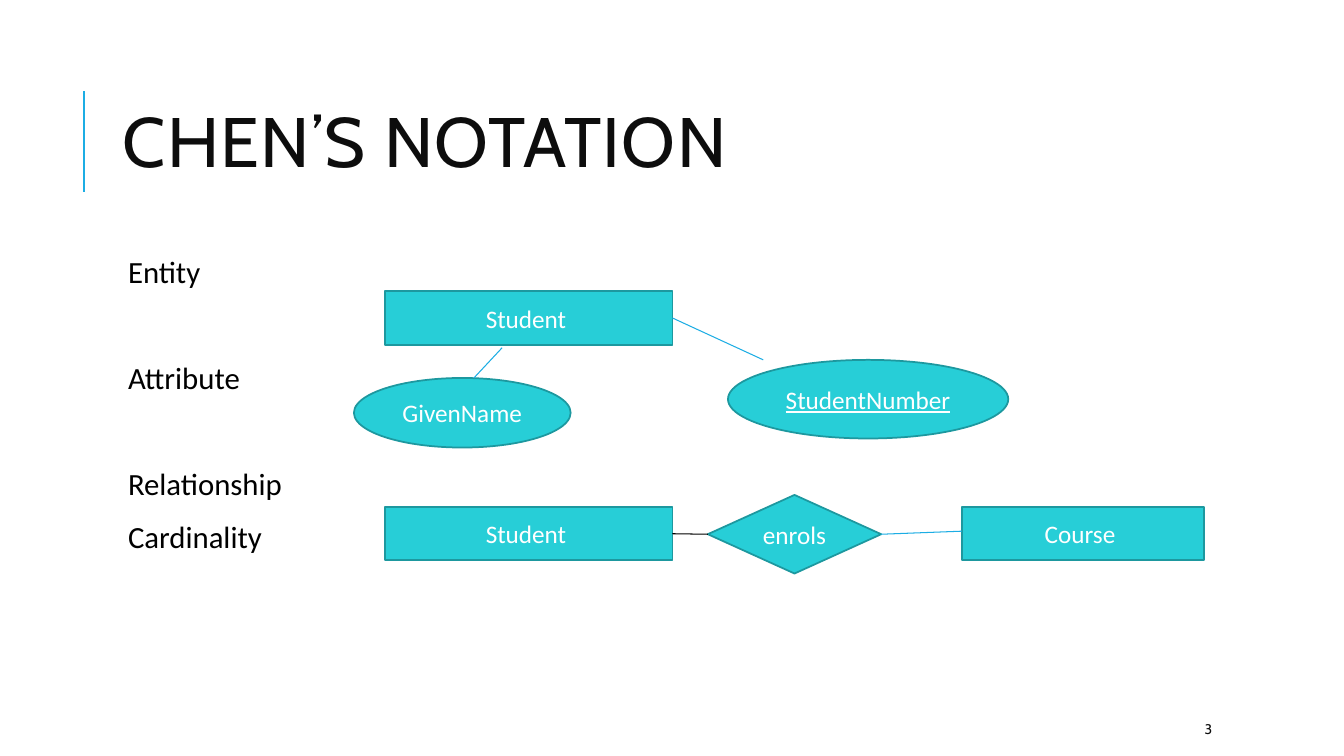
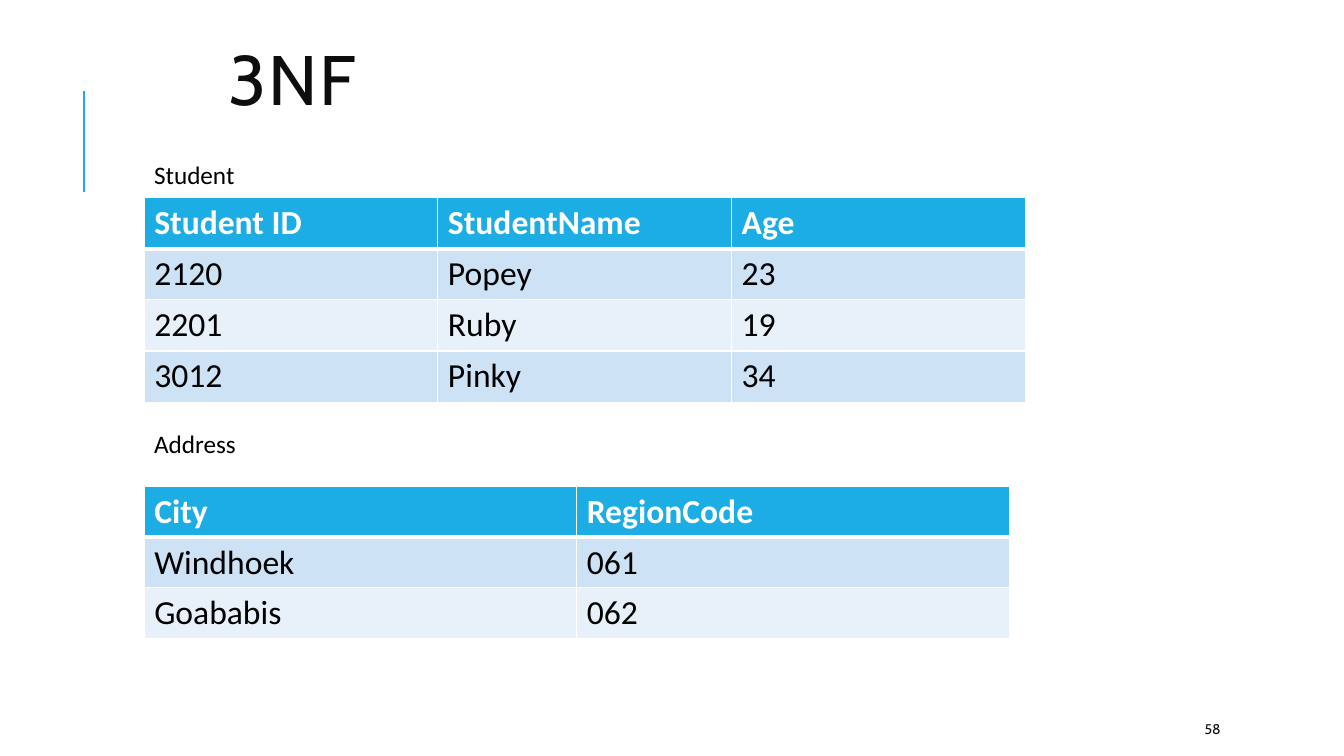
from dataclasses import dataclass

from lxml.etree import SubElement
from pptx import Presentation
from pptx.dml.color import RGBColor
from pptx.enum.shapes import MSO_CONNECTOR, MSO_SHAPE
from pptx.enum.text import MSO_ANCHOR, PP_ALIGN
from pptx.oxml import parse_xml
from pptx.oxml.ns import nsdecls, qn
from pptx.util import Inches, Pt


@dataclass(frozen=True)
class Theme:
    head: str = "Cabin"
    body: str = "Calibri"
    blue: str = "1CADE4"
    teal: str = "27CED7"
    edge: str = "1D989F"
    ink: str = "0D0D0D"
    black: str = "000000"
    white: str = "FFFFFF"
    bands: tuple = ("CDE3F5", "E8F1FA")
    title: int = 50
    cell: int = 24
    label: int = 22
    small: int = 18
    page: int = 10


THEME = Theme()


def color(code):
    return RGBColor.from_string(code)


def add_run(para, text, size, code, face=THEME.body, bold=False, under=False):
    run = para.add_run()
    run.text = text
    font = run.font
    font.name, font.size = face, Pt(size)
    font.bold, font.underline = bold, under
    font.color.rgb = color(code)
    return run


def add_box(slide, spot, anchor=MSO_ANCHOR.TOP):
    box = slide.shapes.add_textbox(*map(Inches, spot))
    frame = box.text_frame
    frame.word_wrap = True
    frame.vertical_anchor = anchor
    return frame


def add_line(slide, start, end, code=THEME.blue, width=0.75):
    line = slide.shapes.add_connector(
        MSO_CONNECTOR.STRAIGHT, *map(Inches, (*start, *end)))
    line.line.color.rgb = color(code)
    line.line.width = Pt(width)
    SubElement(line._element.spPr, qn("a:effectLst"))
    return line


def add_node(slide, kind, spot, text, under=False):
    node = slide.shapes.add_shape(kind, *map(Inches, spot))
    node.shadow.inherit = False
    node.fill.solid()
    node.fill.fore_color.rgb = color(THEME.teal)
    node.line.color.rgb = color(THEME.edge)
    node.line.width = Pt(1.25)
    frame = node.text_frame
    frame.word_wrap = True
    frame.vertical_anchor = MSO_ANCHOR.MIDDLE
    para = frame.paragraphs[0]
    para.alignment = PP_ALIGN.CENTER
    add_run(para, text, THEME.small, THEME.white, under=under)
    return node


def add_labels(slide, spot, labels):
    frame = add_box(slide, spot)
    frame.margin_left = Inches(0.15)
    frame.margin_top = Inches(0.05)
    for i, (text, gap) in enumerate(labels):
        para = frame.add_paragraph() if i else frame.paragraphs[0]
        para.line_spacing = 0.9
        para.space_before, para.space_after = Pt(gap), Pt(2)
        add_run(para, text, THEME.label, THEME.black)


def add_edges(cell, top, base):
    props = cell._tc.get_or_add_tcPr()
    sides = {"L": 1, "R": 1, "T": top, "B": base}
    for i, (side, width) in enumerate(sides.items()):
        props.insert(i, parse_xml(
            f'<a:ln{side} {nsdecls("a")} w="{Pt(width)}"><a:solidFill>'
            f'<a:srgbClr val="{THEME.white}"/></a:solidFill></a:ln{side}>'))


def add_grid(slide, spot, rows):
    shape = slide.shapes.add_table(
        len(rows), len(rows[0]), *map(Inches, spot))
    grid = shape.table
    for r, row in enumerate(rows):
        first = r == 0
        for c, text in enumerate(row):
            cell = grid.cell(r, c)
            cell.fill.solid()
            cell.fill.fore_color.rgb = color(
                THEME.blue if first else THEME.bands[(r - 1) % 2])
            add_edges(cell, 3 if r == 1 else 1, 3 if first else 1)
            add_run(cell.text_frame.paragraphs[0], text, THEME.cell,
                    THEME.white if first else THEME.black, bold=first)


def add_name(slide, top, text):
    frame = add_box(slide, (1.43, top, 3.7, 0.4))
    add_run(frame.paragraphs[0], text, THEME.small, THEME.black)


def add_slide(deck, title, spot, page):
    slide = deck.slides.add_slide(deck.slide_layouts[6])
    add_line(slide, (0.83, 1.9), (0.83, 0.9), width=1.5)
    para = add_box(slide, spot, MSO_ANCHOR.MIDDLE).paragraphs[0]
    para.line_spacing = 0.8
    run = add_run(para, title, THEME.title, THEME.ink, THEME.head)
    run._r.get_or_add_rPr().set("spc", "100")
    foot = add_box(slide, (11.85, 7.08, 1.06, 0.3), MSO_ANCHOR.MIDDLE)
    add_run(foot.paragraphs[0], page, THEME.page, THEME.ink, THEME.head)
    return slide


def draw_chen(deck):
    slide = add_slide(deck, "CHEN’S NOTATION", (1.12, 0.64, 10.63, 1.64), "3")
    add_labels(slide, (1.12, 2.5, 2.5, 3.2), (
        ("Entity", 0), ("Attribute", 50),
        ("Relationship", 50), ("Cardinality", 12)))
    box, oval = MSO_SHAPE.RECTANGLE, MSO_SHAPE.OVAL

    owner = add_node(slide, box, (3.82, 2.89, 2.85, 0.53), "Student ")
    add_node(slide, oval, (7.22, 3.57, 2.78, 0.78), "StudentNumber", True)
    add_node(slide, oval, (3.51, 3.75, 2.15, 0.69), "GivenName")
    add_line(slide, (4.98, 3.45), (4.7, 3.75))
    add_line(slide, (6.67, 3.16), (7.57, 3.57)).begin_connect(owner, 3)

    pupil = add_node(slide, box, (3.82, 5.03, 2.85, 0.53), "Student ")
    add_node(slide, box, (9.54, 5.03, 2.4, 0.53), "Course ")
    enrol = add_node(
        slide, MSO_SHAPE.DIAMOND, (7.02, 4.91, 1.72, 0.78), "enrols")
    link = add_line(slide, (6.67, 5.3), (7.02, 5.3), THEME.black)
    link.begin_connect(pupil, 3)
    link.end_connect(enrol, 1)
    add_line(slide, (8.74, 5.3), (9.54, 5.27)).begin_connect(enrol, 3)


def draw_forms(deck):
    slide = add_slide(deck, "3NF", (2.17, 0.3, 9, 1.09), "58")
    add_name(slide, 1.53, "Student")
    add_grid(slide, (1.43, 1.96, 8.74, 2.03), (
        ("Student ID", "StudentName", "Age"),
        ("2120", "Popey", "23"),
        ("2201", "Ruby", "19"),
        ("3012", "Pinky", "34")))
    add_name(slide, 4.2, "Address")
    add_grid(slide, (1.43, 4.83, 8.58, 1.5), (
        ("City", "RegionCode"),
        ("Windhoek", "061"),
        ("Goababis", "062")))


def main():
    deck = Presentation()
    deck.slide_width, deck.slide_height = Inches(13.33), Inches(7.5)
    draw_chen(deck)
    draw_forms(deck)
    deck.save("out.pptx")


if __name__ == "__main__":
    main()
